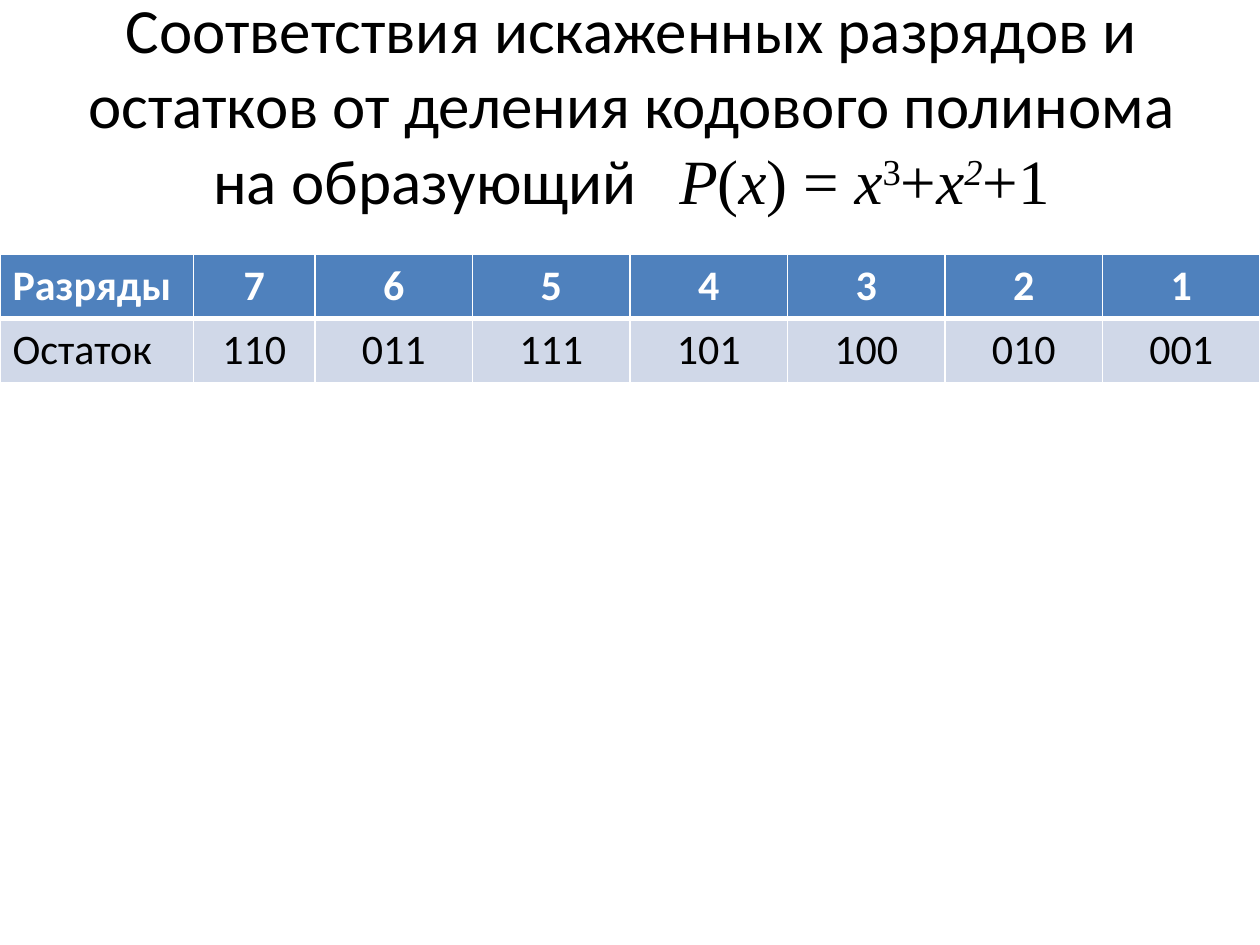
from lxml import etree
from pptx import Presentation
from pptx.dml.color import RGBColor
from pptx.enum.text import MSO_ANCHOR, MSO_AUTO_SIZE, PP_ALIGN
from pptx.oxml.ns import qn
from pptx.util import Cm, Pt

CENTER, LEFT = PP_ALIGN.CENTER, PP_ALIGN.LEFT
MIDDLE = MSO_ANCHOR.MIDDLE
NO_AUTOFIT = MSO_AUTO_SIZE.NONE
BLACK = RGBColor(0x00, 0x00, 0x00)
WHITE = RGBColor(0xFF, 0xFF, 0xFF)
BLUE = RGBColor(0x4F, 0x81, 0xBD)
PALE_BLUE = RGBColor(0xD0, 0xD8, 0xE8)

# Content
HEADING = ("Соответствия искаженных разрядов и остатков от деления "
           "кодового полинома на образующий")
# Formula spans: text, italic, superscript
FORMULA = [
    ("P", True, False), ("(", False, False), ("x", True, False),
    (") = ", False, False), ("x", True, False), ("3", False, True),
    ("+", False, False), ("x", True, False), ("2", True, True),
    ("+1", False, False),
]
ROWS = [
    ["Разряды", "7", "6", "5", "4", "3", "2", "1"],
    ["Остаток", "110", "011", "111", "101", "100", "010", "001"],
]
# Row styles: fill, text colour, bold, top and bottom border in points
STYLES = [(BLUE, WHITE, True, 1, 3), (PALE_BLUE, BLACK, False, 3, 1)]

# Layout
PAGE_WIDTH, PAGE_HEIGHT = Cm(25.4), Cm(19.05)
TABLE_TOP, ROW_HEIGHT = Cm(5.13), Cm(1.27)
FIRST_WIDTHS = [Cm(3.9), Cm(2.45)]


def add_span(para, text, font_name="Calibri"):
    span = para.add_run()
    span.text = text
    span.font.name = font_name
    return span


def set_border(cell, side, points):
    line = etree.SubElement(cell._tc.get_or_add_tcPr(), qn("a:ln" + side),
                            w=str(Pt(points)))
    fill = etree.SubElement(line, qn("a:solidFill"))
    etree.SubElement(fill, qn("a:srgbClr"), val=str(WHITE))


deck = Presentation()
deck.slide_width, deck.slide_height = PAGE_WIDTH, PAGE_HEIGHT
page = deck.slides.add_slide(deck.slide_layouts[5])

# Title with the formula
title = page.shapes.title
title.left, title.top, title.width, title.height = (
    Cm(1.3), Cm(0), Cm(22.86), Cm(4.17))
frame = title.text_frame
frame.word_wrap = True
frame.auto_size = NO_AUTOFIT
frame.vertical_anchor = MIDDLE
para = frame.paragraphs[0]
para.alignment = CENTER
para.font.size = Pt(36)
para.font.color.rgb = BLACK
add_span(para, HEADING)
# One widened space sets the formula apart
gap = add_span(para, " ")
gap.font._element.set("spc", "1600")
for text, italic, superscript in FORMULA:
    span = add_span(para, text, "Times New Roman")
    span.font.italic = italic
    if superscript:
        span.font._element.set("baseline", "30000")

# Table of digits and remainders
table = page.shapes.add_table(
    len(ROWS), len(ROWS[0]), Cm(0), TABLE_TOP,
    PAGE_WIDTH, ROW_HEIGHT * len(ROWS)).table
table.horz_banding = False
equal_count = len(ROWS[0]) - len(FIRST_WIDTHS)
equal_width = (PAGE_WIDTH - sum(FIRST_WIDTHS)) // equal_count
for column, width in zip(table.columns,
                         FIRST_WIDTHS + [equal_width] * equal_count):
    column.width = width

for row, texts, style in zip(table.rows, ROWS, STYLES):
    fill, color, bold, top, bottom = style
    row.height = ROW_HEIGHT
    for index, (cell, text) in enumerate(zip(row.cells, texts)):
        for side, points in (("L", 1), ("R", 1), ("T", top), ("B", bottom)):
            set_border(cell, side, points)
        cell.fill.solid()
        cell.fill.fore_color.rgb = fill
        para = cell.text_frame.paragraphs[0]
        para.text = text
        para.alignment = CENTER if index else LEFT
        para.font.name = "Calibri"
        para.font.size = Pt(24)
        para.font.bold = bold
        para.font.color.rgb = color

deck.save("out.pptx")
